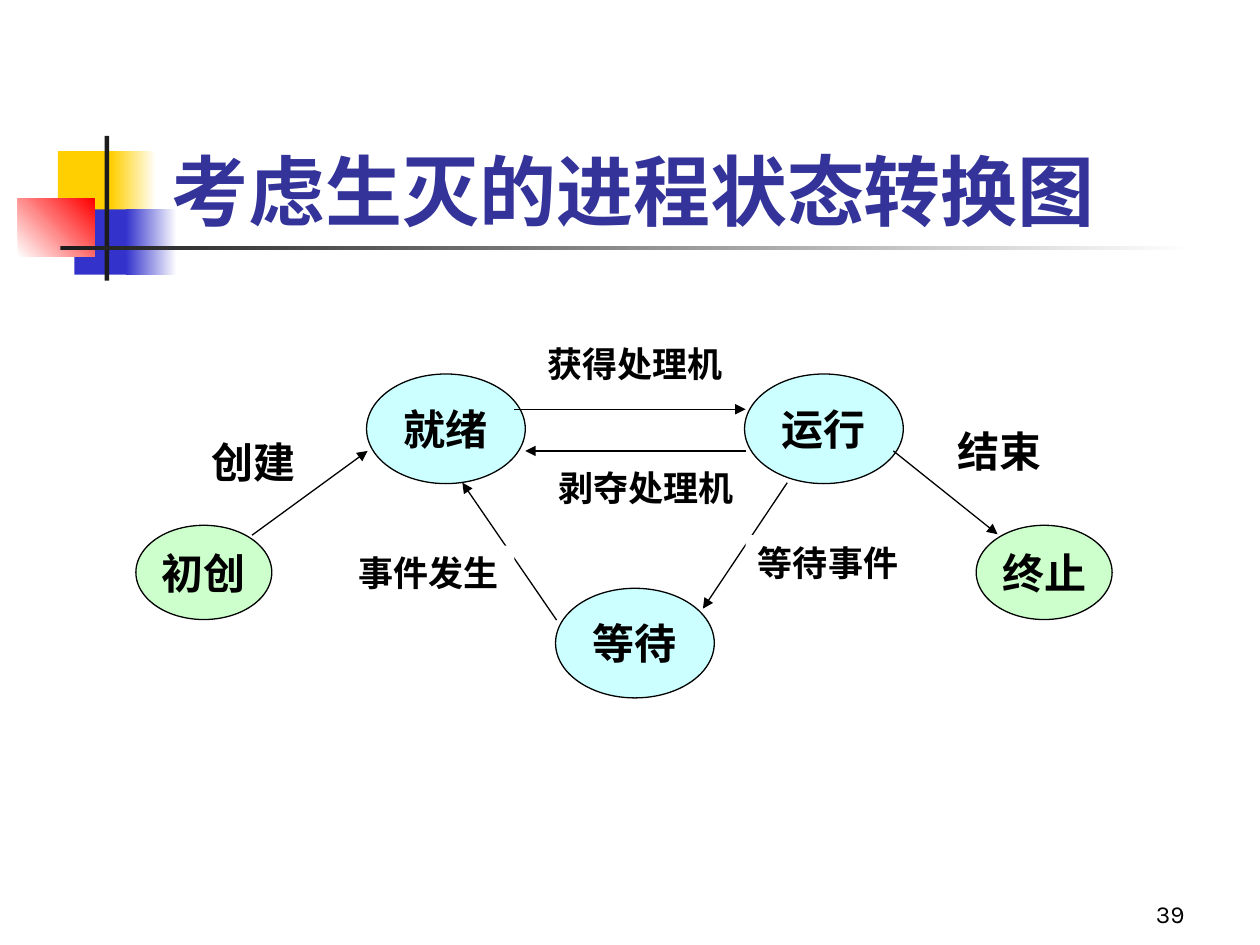
from dataclasses import dataclass

from lxml.etree import SubElement
from pptx import Presentation
from pptx.dml.color import RGBColor
from pptx.enum.shapes import MSO_CONNECTOR, MSO_SHAPE
from pptx.enum.text import MSO_ANCHOR, MSO_AUTO_SIZE, PP_ALIGN
from pptx.oxml.ns import qn
from pptx.util import Cm, Pt


@dataclass(frozen=True)
class Theme:
    white: str = "FFFFFF"
    black: str = "000000"
    ink: str = "1C1C1C"
    heading: str = "333399"
    yellow: str = "FFCF01"
    blue: str = "3333CC"
    red: str = "FF0000"
    active: str = "CCFFFF"
    endpoint: str = "CCFFCC"
    heading_font: str = "Karla"
    diagram_font: str = "Times New Roman"
    heading_size: float = 44
    state_size: float = 24
    label_size: float = 20
    number_size: float = 14
    line_width: float = 0.75


@dataclass(frozen=True)
class Box:
    left: float
    top: float
    width: float
    height: float

    def place(self, left, top, width, height):
        return Cm(self.left + left), Cm(self.top + top), Cm(width), Cm(height)

    def point(self, x, y):
        return Cm(self.left + x), Cm(self.top + y)


THEME = Theme()


def rgb(color):
    return RGBColor.from_string(color)


def write(frame, words, size, font=THEME.diagram_font, color=THEME.black,
          bold=True, align=PP_ALIGN.LEFT, anchor=MSO_ANCHOR.TOP, wrap=True):
    frame.word_wrap = wrap
    frame.vertical_anchor = anchor
    paragraph = frame.paragraphs[0]
    paragraph.alignment = align
    run = paragraph.add_run()
    run.text = words
    run.font.name = font
    run.font.size = Pt(size)
    run.font.bold = bold
    run.font.color.rgb = rgb(color)


def add_block(slide, place, start, end=None, angle=0):
    block = slide.shapes.add_shape(MSO_SHAPE.RECTANGLE, *place)
    block.shadow.inherit = False
    block.line.fill.background()
    if end is None:
        block.fill.solid()
        block.fill.fore_color.rgb = rgb(start)
        return
    block.fill.gradient()
    block.fill.gradient_angle = angle
    for stop, color in zip(block.fill.gradient_stops, (start, end)):
        stop.color.rgb = rgb(color)


def add_state(slide, place, words, color):
    state = slide.shapes.add_shape(MSO_SHAPE.OVAL, *place)
    state.shadow.inherit = False
    state.fill.solid()
    state.fill.fore_color.rgb = rgb(color)
    state.line.color.rgb = rgb(THEME.black)
    state.line.width = Pt(THEME.line_width)
    write(state.text_frame, words, THEME.state_size, align=PP_ALIGN.CENTER,
          anchor=MSO_ANCHOR.MIDDLE, wrap=False)


def add_arrow(slide, start, end):
    arrow = slide.shapes.add_connector(MSO_CONNECTOR.STRAIGHT, *start, *end)
    arrow.line.color.rgb = rgb(THEME.black)
    arrow.line.width = Pt(THEME.line_width)
    SubElement(arrow.line._get_or_add_ln(), qn("a:tailEnd"), type="triangle")
    SubElement(arrow._element.spPr, qn("a:effectLst"))


def add_label(slide, place, words, size, fill=None):
    label = slide.shapes.add_textbox(*place)
    if fill:
        label.fill.solid()
        label.fill.fore_color.rgb = rgb(fill)
    write(label.text_frame, words, size)
    label.text_frame.auto_size = MSO_AUTO_SIZE.SHAPE_TO_FIT_TEXT


def add_header(slide, box, words):
    blocks = [
        ((0.81, 1.35, 1.22, 1.32), THEME.yellow),
        ((1.88, 1.35, 0.91, 1.32), THEME.yellow, THEME.white),
        ((1.14, 2.52, 1.17, 1.32), THEME.blue),
        ((2.18, 2.52, 1.02, 1.32), THEME.blue, THEME.white),
        ((0, 2.31, 1.55, 1.17), THEME.white, THEME.red, 45),
        ((1.75, 1.04, 0.09, 2.92), THEME.ink),
        ((0.86, 3.25, 22.86, 0.09), THEME.ink, THEME.white),
    ]
    for bounds, *colors in blocks:
        add_block(slide, box.place(*bounds), *colors)
    title = slide.shapes.add_textbox(*box.place(2.84, 0, box.width - 2.84, 3.18))
    write(title.text_frame, words, THEME.heading_size, THEME.heading_font,
          THEME.heading, anchor=MSO_ANCHOR.BOTTOM)


def add_state_diagram(slide, box):
    active_size, endpoint_size = (3.2, 2.21), (2.74, 1.9)
    ready_x, column_step = 4.65, 3.81
    upper_y, lower_y, endpoint_y = 0.76, box.height - active_size[1], 3.81
    for column, (words, y) in enumerate(
            [("就绪", upper_y), ("等待", lower_y), ("运行", upper_y)]):
        place = box.place(ready_x + column * column_step, y, *active_size)
        add_state(slide, place, words, THEME.active)
    for words, x in [("初创", 0), ("终止", box.width - endpoint_size[0])]:
        place = box.place(x, endpoint_y, *endpoint_size)
        add_state(slide, place, words, THEME.endpoint)

    transitions = [
        ((7.62, 1.47), (12.29, 1.47)),
        ((13.13, 2.95), (11.43, 5.49)),
        ((8.48, 5.72), (6.58, 2.95)),
        ((12.29, 2.31), (7.85, 2.31)),
        ((2.34, 4.01), (4.67, 2.31)),
        ((15.27, 2.31), (17.37, 3.99)),
    ]
    for start, end in transitions:
        add_arrow(slide, box.point(*start), box.point(*end))

    for words, x, y, width in [
        ("获得处理机", 8.05, 0, 4.24),
        ("剥夺处理机", 8.26, 2.49, 4.24),
        ("等待事件", 12.29, 4.01, 3.39),
        ("事件发生", 4.24, 4.22, 3.39),
    ]:
        add_label(slide, box.place(x, y, width, 1.12), words,
                  THEME.label_size, THEME.white)
    for words, x, y, width in [("创建", 1.27, 1.9, 2.54), ("结束", 16.31, 1.68, 3.18)]:
        add_label(slide, box.place(x, y, width, 1.27), words, THEME.state_size)


def add_footer(slide, box, number):
    page_number = slide.shapes.add_textbox(*box.place(0, 0, box.width, box.height))
    write(page_number.text_frame, number, THEME.number_size, THEME.heading_font,
          bold=False, align=PP_ALIGN.RIGHT, anchor=MSO_ANCHOR.BOTTOM)


def main():
    deck = Presentation()
    deck.slide_width, deck.slide_height = Cm(25.4), Cm(19.05)
    slide = deck.slides.add_slide(deck.slide_layouts[6])
    add_header(slide, Box(0.36, 1.7, 24.48, 3.96), "考虑生灭的进程状态转换图")
    add_state_diagram(slide, Box(2.74, 6.78, 19.68, 7.29))
    add_footer(slide, Box(18.85, 17.58, 5.28, 1.27), "39")
    deck.save("out.pptx")


if __name__ == "__main__":
    main()
